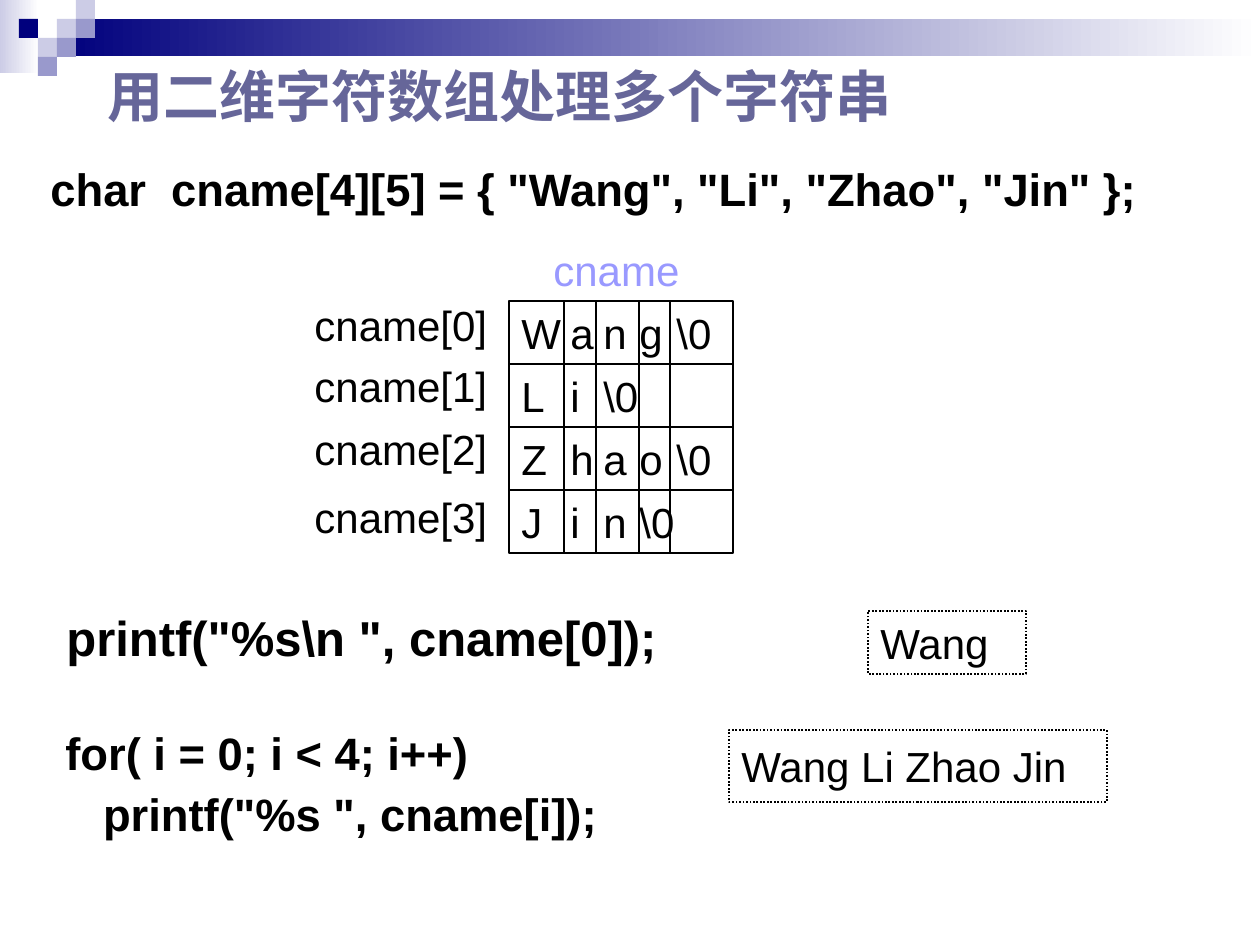
from typing import NamedTuple, Optional

from lxml.etree import SubElement
from pptx import Presentation
from pptx.dml.color import RGBColor
from pptx.enum.dml import MSO_LINE_DASH_STYLE as Dash
from pptx.enum.shapes import MSO_CONNECTOR as Connector, MSO_SHAPE as Shape
from pptx.enum.text import MSO_ANCHOR as Anchor, MSO_AUTO_SIZE as AutoSize, PP_ALIGN as Align
from pptx.oxml.ns import qn
from pptx.util import Emu, Pt

BLACK = RGBColor(0x00, 0x00, 0x00)
WHITE = RGBColor(0xFF, 0xFF, 0xFF)
NAVY = RGBColor(0x00, 0x00, 0x7D)
LAVENDER = RGBColor(0xCC, 0xCC, 0xE6)
VIOLET = RGBColor(0x99, 0x99, 0xCC)
LILAC = RGBColor(0x99, 0x99, 0xFF)
SLATE = RGBColor(0x66, 0x66, 0x99)

FONT = "Arial"
PX_PER_INCH = 126
TILE = 19
GRID_LEFT, GRID_TOP, GRID_WIDTH, ROW_HEIGHT = 509, 301, 224, 63
SEPARATORS = (564, 596, 639, 670)
LETTER_STOPS = (49, 82, 118, 155)


class Area(NamedTuple):
    left: int
    top: int
    width: int
    height: int


class Tile(NamedTuple):
    column: int
    row: int
    color: RGBColor


class Label(NamedTuple):
    area: Area
    lines: tuple[str, ...]
    size: float = 24
    color: RGBColor = BLACK
    bold: bool = False
    wrap: bool = True
    spacing: Optional[float] = None


class Frame(NamedTuple):
    area: Area
    text: str
    dash: Optional[Dash] = None
    stops: tuple[int, ...] = ()


TILES = (
    Tile(2, 1, LAVENDER),
    Tile(3, 0, LAVENDER),
    Tile(3, 1, VIOLET),
    Tile(1, 2, LAVENDER),
    Tile(0, 1, NAVY),
    Tile(2, 2, VIOLET),
    Tile(1, 3, VIOLET),
)
CODE = (
    Label(Area(38, 155, 1197, 94),
          ('char  cname[4][5] = { "Wang", "Li", "Zhao", "Jin" };',), 25.9, bold=True),
    Label(Area(54, 601, 684, 84), ('printf("%s\\n ", cname[0]);',), 28, bold=True),
    Label(Area(53, 725, 588, 157),
          ("for( i = 0; i < 4; i++)", '   printf("%s ", cname[i]);'),
          25.9, bold=True, spacing=0.9),
)
OUTPUTS = (
    Frame(Area(868, 611, 158, 63), "Wang", Dash.ROUND_DOT),
    Frame(Area(729, 730, 378, 72), "Wang Li Zhao Jin", Dash.ROUND_DOT),
)
NAMES = (
    ("W", "a", "n", "g", "\\0"),
    ("L", "i", "\\0"),
    ("Z", "h", "a", "o", "\\0"),
    ("J", "i", "n", "\\0"),
)
LABEL_TOPS = (299, 360, 423, 491)


def px(value: int) -> Emu:
    return Emu(round(value * 914400 / PX_PER_INCH))


def place(area: Area) -> tuple[Emu, ...]:
    return tuple(px(value) for value in area)


def add_span(para, text: str, size: float, color: RGBColor, bold: bool = False) -> None:
    span = para.add_run()
    span.text = text
    span.font.name = FONT
    span.font.size = Pt(size)
    span.font.bold = bold
    span.font.color.rgb = color


def add_block(page, area: Area):
    block = page.shapes.add_shape(Shape.RECTANGLE, *place(area))
    block.shadow.inherit = False
    block.line.fill.background()
    return block


def add_tile(page, tile: Tile) -> None:
    block = add_block(page, Area((tile.column + 1) * TILE, tile.row * TILE, TILE, TILE))
    block.fill.solid()
    block.fill.fore_color.rgb = tile.color


def add_fade(page, area: Area, start: RGBColor) -> None:
    block = add_block(page, area)
    block.fill.gradient()
    block.fill.gradient_angle = 0
    for stop, color in zip(block.fill.gradient_stops, (start, WHITE)):
        stop.color.rgb = color


def add_label(page, label: Label) -> None:
    box = page.shapes.add_textbox(*place(label.area))
    box.text_frame.word_wrap = label.wrap
    for index, line in enumerate(label.lines):
        para = box.text_frame.paragraphs[0] if index == 0 else box.text_frame.add_paragraph()
        if index:
            para.space_before = Pt(7)
        if label.spacing:
            para.line_spacing = label.spacing
        add_span(para, line, label.size, label.color, label.bold)


def add_frame(page, frame: Frame) -> None:
    box = add_block(page, frame.area)
    box.fill.background()
    box.line.color.rgb = BLACK
    box.line.width = Pt(1)
    if frame.dash:
        box.line.dash_style = frame.dash
    box.text_frame.word_wrap = True
    box.text_frame.vertical_anchor = Anchor.MIDDLE
    para = box.text_frame.paragraphs[0]
    para.alignment = Align.LEFT
    if frame.stops:
        tabs = SubElement(para._p.get_or_add_pPr(), qn("a:tabLst"))
        for stop in frame.stops:
            SubElement(tabs, qn("a:tab"), pos=str(px(stop)), algn="l")
    add_span(para, frame.text, 24, BLACK)


def add_separator(page, left: int, top: int) -> None:
    line = page.shapes.add_connector(
        Connector.STRAIGHT, px(left), px(top), px(left), px(top + ROW_HEIGHT))
    line.line.color.rgb = BLACK
    line.line.width = Pt(0.75)
    SubElement(line._element.spPr, qn("a:effectLst"))


def add_name_grid(page) -> None:
    for row, letters in enumerate(NAMES):
        top = GRID_TOP + row * ROW_HEIGHT
        area = Area(GRID_LEFT, top, GRID_WIDTH, ROW_HEIGHT)
        add_frame(page, Frame(area, "\t".join(letters), stops=LETTER_STOPS))
        for left in SEPARATORS:
            add_separator(page, left, top)
    add_label(page, Label(Area(541, 244, 151, 58), ("cname",), color=LILAC,
                          wrap=False, spacing=0.9))
    for index, top in enumerate(LABEL_TOPS):
        add_label(page, Label(Area(302, top, 198, 58), (f"cname[{index}]",),
                              wrap=False, spacing=0.9))


def set_title(page, text: str) -> None:
    title = page.shapes.title
    title.left, title.top, title.width, title.height = place(Area(95, 55, 942, 80))
    title.text_frame.auto_size = AutoSize.NONE
    title.text_frame.vertical_anchor = Anchor.TOP
    para = title.text_frame.paragraphs[0]
    para.alignment = Align.LEFT
    add_span(para, text, 32, SLATE, True)


def main() -> None:
    deck = Presentation()
    deck.slide_width, deck.slide_height = px(1260), px(945)
    page = deck.slides.add_slide(deck.slide_layouts[5])
    set_title(page, "用二维字符数组处理多个字符串")
    add_fade(page, Area(0, 0, 39, 73), LAVENDER)
    add_fade(page, Area(57, 19, 1203, 37), NAVY)
    for tile in TILES:
        add_tile(page, tile)
    for label in CODE:
        add_label(page, label)
    for frame in OUTPUTS:
        add_frame(page, frame)
    add_name_grid(page)
    deck.save("out.pptx")


if __name__ == "__main__":
    main()
